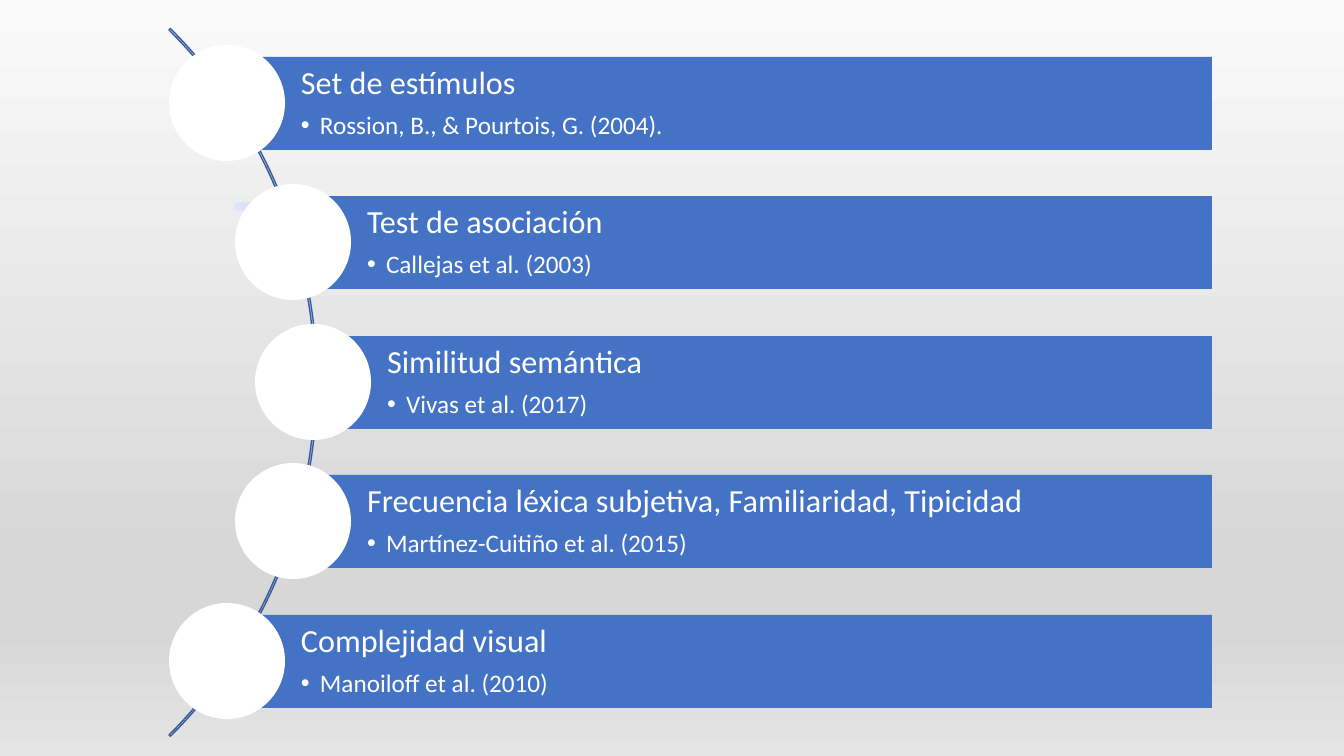
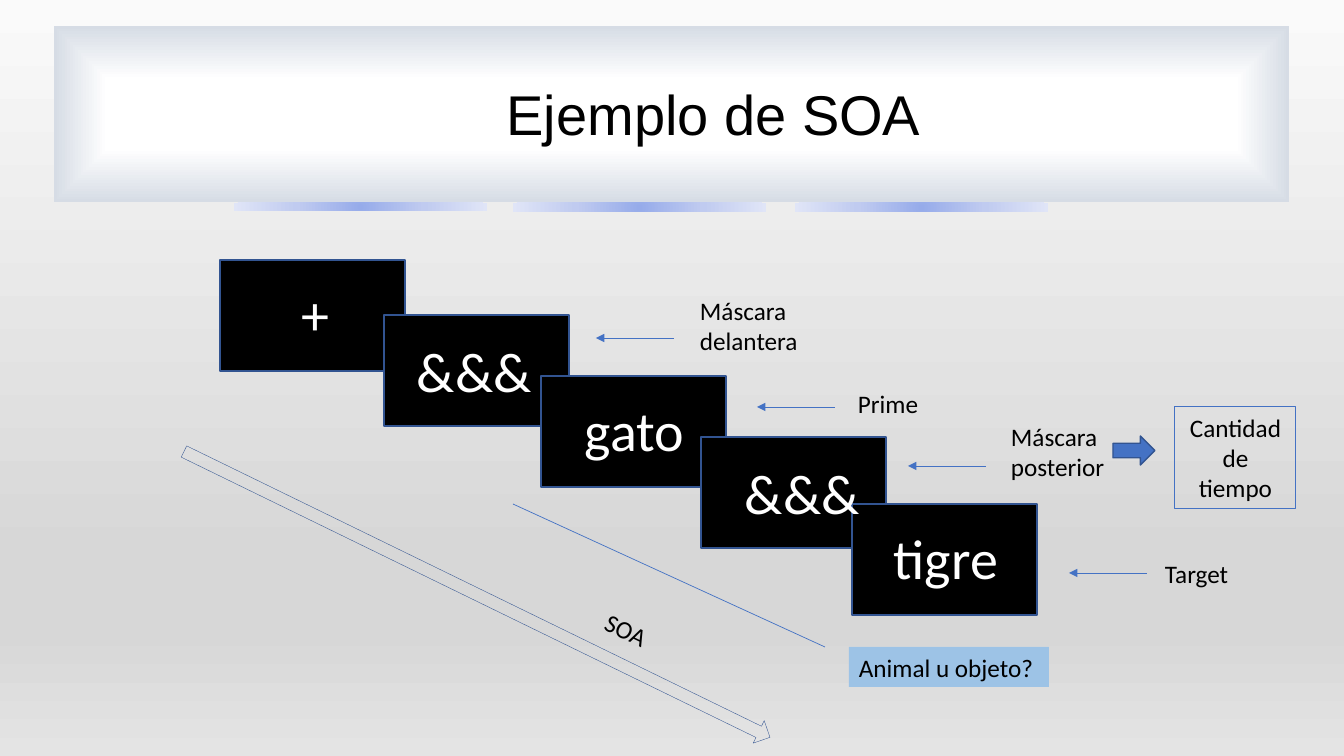
from math import sqrt
from pptx import Presentation
from pptx.dml.color import RGBColor as RGB
from pptx.enum.shapes import MSO_CONNECTOR as LINK, MSO_SHAPE as KIND
from pptx.enum.text import MSO_ANCHOR as ANCHOR, PP_ALIGN as ALIGN
from pptx.oxml import parse_xml
from pptx.oxml.ns import nsdecls, qn
from pptx.util import Pt

PX = 914400 / 100.8  # EMU in one px
WIDE, HIGH = 1344, 756

BLACK = RGB(0x00, 0x00, 0x00)
WHITE = RGB(0xFF, 0xFF, 0xFF)
BLUE = RGB(0x44, 0x72, 0xC4)
NAVY = RGB(0x32, 0x54, 0x91)
STEEL = RGB(0x36, 0x5B, 0x9D)
SKY = RGB(0x9D, 0xC3, 0xE6)
MIST = RGB(0xD6, 0xDC, 0xE5)
SMOKE, GREY, PEARL = RGB(0xFA, 0xFA, 0xFA), RGB(0xD7, 0xD7, 0xD7), RGB(0xE4, 0xE4, 0xE4)
IRIS, LILAC, PALE = RGB(0x96, 0xAB, 0xEA), RGB(0xC0, 0xCB, 0xF0), RGB(0xE0, 0xE5, 0xF7)

# Gradients: stops as (percent, colour)
PAGE = [(0, SMOKE), (74, GREY), (83, GREY), (100, PEARL)]
TAB = [(0, IRIS), (50, LILAC), (100, PALE)]
BAND = [(39, WHITE), (100, MIST)]


def emu(*vals):
    return [round(v * PX) for v in vals]


class Deck:
    font = "Calibri"

    def __init__(self):
        self.prs = Presentation()
        self.prs.slide_width, self.prs.slide_height = emu(WIDE, HIGH)
        self.slide = None

    def page(self):
        self.slide = self.prs.slides.add_slide(self.prs.slide_layouts[6])
        back = self.slide.background.fill
        back.solid()
        back.fore_color.rgb = SMOKE
        self.blend(self.slide._element, PAGE)

    def blend(self, root, stops, form=None):
        """Swap the solid fill under root for a gradient: linear, or a path form."""
        marks = "".join(f'<a:gs pos="{pos * 1000}"><a:srgbClr val="{tone}"/></a:gs>'
                        for pos, tone in stops)
        way = '<a:lin ang="5400000" scaled="0"/>'
        if form:
            way = (f'<a:path path="{form}"><a:fillToRect l="50000" t="50000" '
                   'r="50000" b="50000"/></a:path>')
        old = root.find(".//" + qn("a:solidFill"))
        old.getparent().replace(old, parse_xml(
            f'<a:gradFill {nsdecls("a")} rotWithShape="1"><a:gsLst>{marks}</a:gsLst>{way}</a:gradFill>'))

    def shape(self, kind, box, fill=None, line=None, wid=1, turn=0):
        item = self.slide.shapes.add_shape(kind, *emu(*box))
        item.shadow.inherit = False
        item.rotation = turn
        if fill is None:
            item.fill.background()
        else:
            item.fill.solid()
            item.fill.fore_color.rgb = fill
        if line is None:
            item.line.fill.background()
        else:
            item.line.color.rgb = line
            item.line.width = Pt(wid)
        return item

    def glow(self, box, stops, form):
        item = self.shape(KIND.RECTANGLE, box, WHITE)
        self.blend(item._element, stops, form)

    def tab(self, left, high):
        self.glow((left, 203, 253, high), TAB, "circle")

    def run(self, para, text, size, tone, font=None):
        run = para.add_run()
        run.text = text
        run.font.size = Pt(size)
        run.font.name = font or self.font
        run.font.color.rgb = tone

    def label(self, item, text, size=18, tone=BLACK, align=ALIGN.LEFT, font=None):
        frame = item.text_frame
        frame.word_wrap = True
        frame.vertical_anchor = ANCHOR.TOP
        para = frame.paragraphs[0]
        para.alignment = align
        self.run(para, text, size, tone, font)

    def text(self, box, text, size=18, tone=BLACK, align=ALIGN.LEFT, font=None, turn=0):
        item = self.slide.shapes.add_textbox(*emu(*box))
        item.rotation = turn
        self.label(item, text, size, tone, align, font)

    def bar(self, box, head, cite):
        """Blue bar with a heading and one bulleted source."""
        item = self.shape(KIND.RECTANGLE, box, BLUE)
        frame = item.text_frame
        frame.word_wrap = True
        frame.vertical_anchor = ANCHOR.MIDDLE
        frame.margin_left, frame.margin_top = emu(74, 6)
        frame.margin_right, frame.margin_bottom = emu(6, 6)
        top, sub = frame.paragraphs[0], frame.add_paragraph()
        for para, text, size, gap in ((top, head, 23, 8), (sub, cite, 18, 3)):
            para.alignment = ALIGN.LEFT
            para.line_spacing = 0.9
            para.space_after = Pt(gap)
            self.run(para, text, size, WHITE)
        sub.level = 1
        props = sub._p.get_or_add_pPr()
        dent, = emu(19)
        props.set("marL", str(dent))
        props.set("indent", str(-dent))
        props.append(parse_xml(f'<a:buFont {nsdecls("a")} typeface="Arial"/>'))
        props.append(parse_xml(f'<a:buChar {nsdecls("a")} char="•"/>'))

    def link(self, ends, arrow=False):
        item = self.slide.shapes.add_connector(LINK.STRAIGHT, *emu(*ends))
        item.line.color.rgb = BLUE
        item.line.width = Pt(0.5)
        if arrow:
            item.line._get_or_add_ln().append(
                parse_xml(f'<a:tailEnd {nsdecls("a")} type="triangle"/>'))
        item._element.spPr.append(parse_xml(f'<a:effectLst {nsdecls("a")}/>'))


def tests(deck):
    """Bars whose circles follow one arc."""
    rows = [("Set de estímulos", "Rossion, B., & Pourtois, G. (2004)."),
            ("Test de asociación", "Callejas et al. (2003)"),
            ("Similitud semántica", "Vivas et al. (2017)"),
            ("Frecuencia léxica subjetiva, Familiaridad, Tipicidad",
             "Martínez-Cuitiño et al. (2015)"),
            ("Complejidad visual", "Manoiloff et al. (2010)")]
    deck.page()
    deck.tab(234, 8)
    arc = deck.shape(KIND.BLOCK_ARC, (-684, -118, 1001, 1001), line=STEEL)
    for num, val in enumerate((189, 27, 0.002)):
        arc.adjustments[num] = val
    pitch, reach, hub = 139.5, 497, -184
    for num, (head, cite) in enumerate(rows):
        top = int(57 + num * pitch)
        mid = round(hub + sqrt(reach ** 2 - ((num - 2) * pitch) ** 2))
        deck.bar((mid, top, 1212 - mid, 93), head, cite)
        deck.shape(KIND.OVAL, (mid - 58, top - 12, 116, 116), WHITE)


def trial(deck):
    """Sequence of screens in one trial."""
    deck.page()
    # Title band and tabs
    deck.glow((54, 26, 1235, 176), BAND, "rect")
    for left, high in ((234, 8), (513, 9), (795, 9)):
        deck.tab(left, high)
    deck.text((338, 75, 751, 109), "Ejemplo de SOA", 40, align=ALIGN.CENTER, font="Arial")

    # Screens, with their words in front of all of them
    cards = [(220, 260, "+", 72, 15), (384, 315, "&&&", 23, 17), (541, 376, "gato", 34, 15),
             (701, 437, "&&&", 34, 17), (852, 504, "tigre", 32, 15)]
    for left, top, *_ in cards:
        deck.shape(KIND.RECTANGLE, (left, top, 185, 111), BLACK, NAVY)
    for left, top, word, right, down in cards:
        deck.text((left + right, top + down, 180, 78), word, 40, WHITE)

    # Time axis
    deck.shape(KIND.RIGHT_ARROW, (151, 582, 652, 25), line=NAVY, wid=0.25, turn=26)
    deck.text((594, 615, 86, 40), "SOA", turn=25.8)
    deck.link((513, 504, 825, 647))

    # Labels and their arrows: tip, then text box
    notes = [(596, 338, "Máscara delantera", 690, 290), (757, 407, "Prime", 848, 383),
             (908, 466, "Máscara posterior", 1001, 416), (1069, 573, "Target", 1155, 553)]
    for tip, row, text, left, top in notes:
        deck.link((tip + 78, row, tip, row), arrow=True)
        deck.text((left, top, 161, 40), text)

    # Question and length of time
    ask = deck.shape(KIND.RECTANGLE, (849, 647, 200, 40), SKY)
    deck.label(ask, "Animal u objeto?")
    deck.shape(KIND.RIGHT_ARROW, (1113, 436, 42, 29), BLUE, NAVY)
    time = deck.shape(KIND.RECTANGLE, (1175, 407, 121, 102), line=BLUE, wid=0.75)
    deck.label(time, "Cantidad de tiempo", align=ALIGN.CENTER)


def main():
    deck = Deck()
    tests(deck)
    trial(deck)
    deck.prs.save("out.pptx")


if __name__ == "__main__":
    main()
